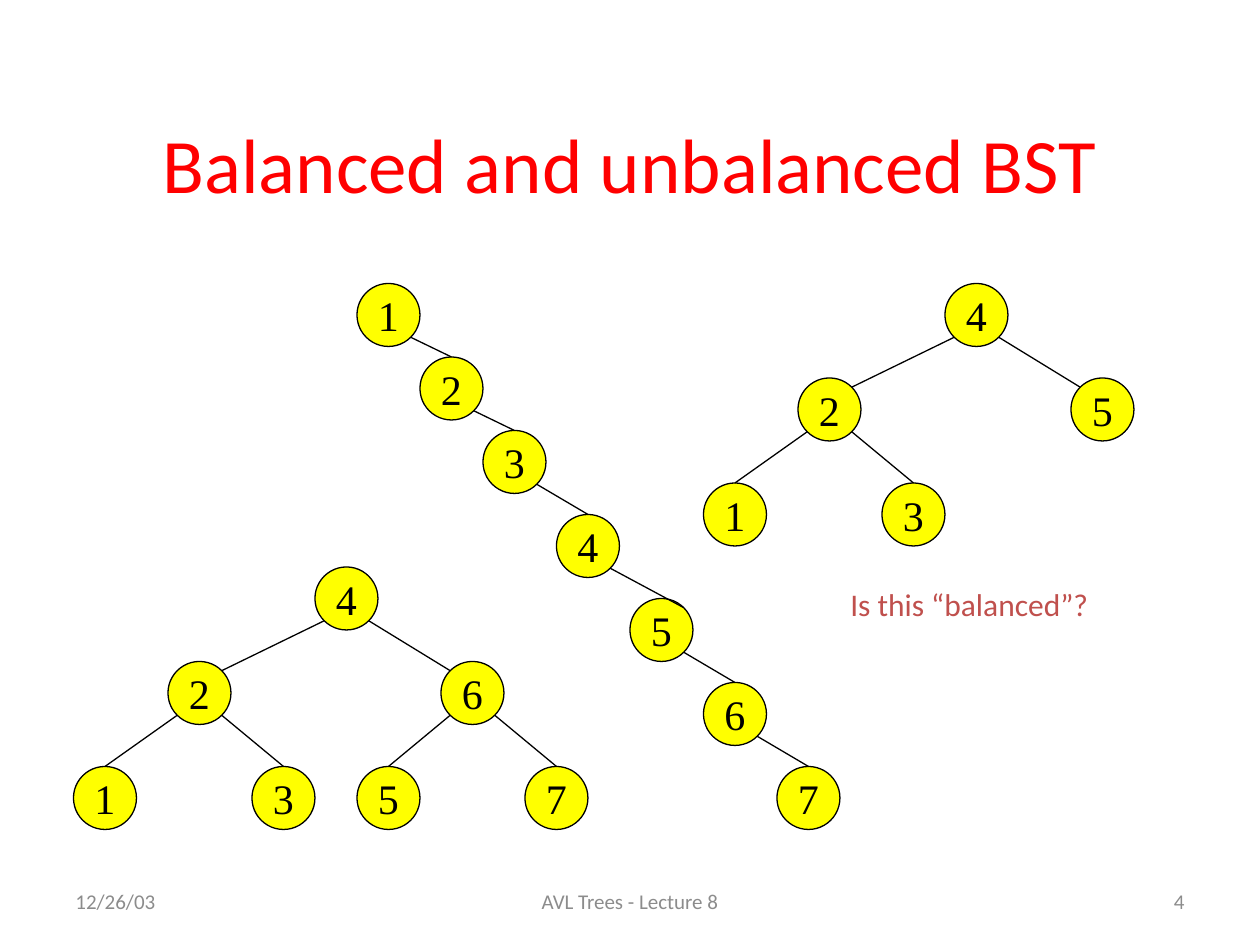
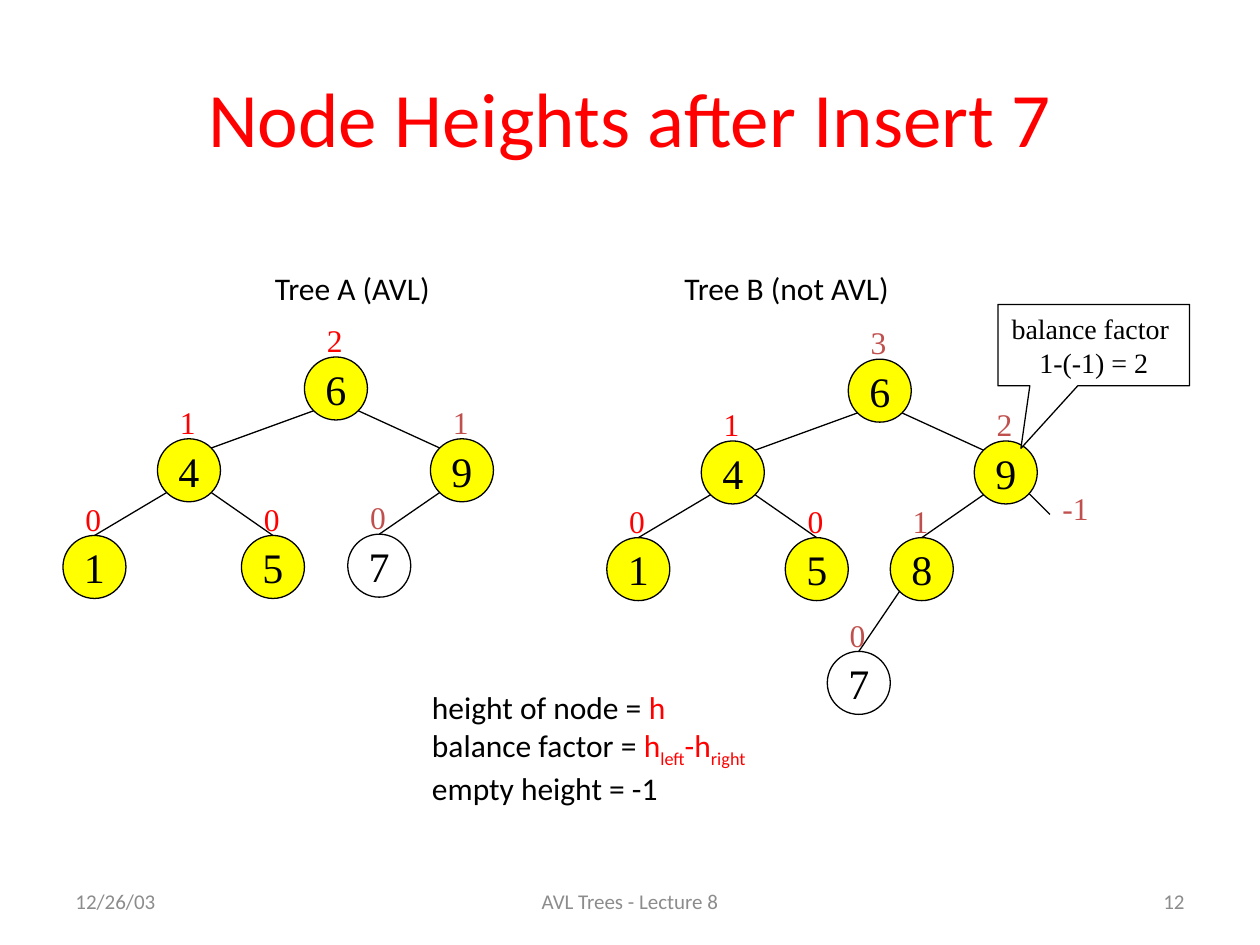
from math import sqrt
from lxml.etree import SubElement
from pptx import Presentation
from pptx.dml.color import RGBColor
from pptx.enum.shapes import MSO_CONNECTOR, MSO_SHAPE
from pptx.enum.text import MSO_ANCHOR, MSO_AUTO_SIZE, PP_ALIGN
from pptx.oxml.ns import qn
from pptx.util import Pt

COLORS = {
    "red": "FF0000",
    "brick": "C0504D",
    "yellow": "FFFF00",
    "white": "FFFFFF",
    "black": "000000",
    "grey": "8C8C8C",
}
SANS, SERIF = "Calibri", "Times New Roman"
NODE = 36
RADIUS = NODE / 2
CORNER = RADIUS / sqrt(2)
ENTRY = {"left": (-CORNER, -CORNER), "right": (CORNER, -CORNER), "top": (0, -RADIUS)}
LINE_WIDTH = 0.75
LABEL_H = 31


def rgb(name):
    return RGBColor.from_string(COLORS[name])


class Deck:
    def __init__(self):
        self.prs = Presentation()
        self.prs.slide_width, self.prs.slide_height = Pt(720), Pt(540)
        self.s = None

    def slide(self, title, title_box, number):
        self.s = self.prs.slides.add_slide(self.prs.slide_layouts[6])
        footers = [
            (36, 168, "12/26/03", PP_ALIGN.LEFT),
            (246, 228, "AVL Trees - Lecture 8", PP_ALIGN.CENTER),
            (516, 168, number, PP_ALIGN.RIGHT),
        ]
        for x, w, text, align in footers:
            self.text((x, 500.5, w, 28.75), [text], 12, color="grey", align=align,
                      anchor=MSO_ANCHOR.MIDDLE)
        self.text(title_box, [title], 44, color="red", align=PP_ALIGN.CENTER,
                  anchor=MSO_ANCHOR.MIDDLE)

    def fill_text(self, tf, lines, size, font, color, align):
        for i, line in enumerate(lines):
            p = tf.paragraphs[0] if i == 0 else tf.add_paragraph()
            p.alignment = align
            p.font.size, p.font.name = Pt(size), font
            if isinstance(line, str):
                p.add_run().text = line
                p.font.color.rgb = rgb(color)
                continue
            for text, run_color, baseline in line:
                r = p.add_run()
                r.text = text
                r.font.color.rgb = rgb(run_color)
                if baseline:
                    r.font._element.set("baseline", str(baseline * 1000))

    def text(self, box, lines, size=18, font=SANS, color="black",
             align=PP_ALIGN.LEFT, anchor=MSO_ANCHOR.TOP, wrap=True, grow=False):
        tf = self.s.shapes.add_textbox(*map(Pt, box)).text_frame
        tf.word_wrap = wrap
        tf.vertical_anchor = anchor
        if grow:
            tf.auto_size = MSO_AUTO_SIZE.SHAPE_TO_FIT_TEXT
        self.fill_text(tf, lines, size, font, color, align)

    def label(self, x, y, text, color, w=24.5, font=SERIF):
        self.text((x, y, w, LABEL_H), [text], font=font, color=color, wrap=False, grow=True)

    def shape(self, kind, box, lines, size, fill):
        sp = self.s.shapes.add_shape(kind, *map(Pt, box))
        sp.shadow.inherit = False
        if fill:
            sp.fill.solid()
            sp.fill.fore_color.rgb = rgb(fill)
        else:
            sp.fill.background()
        sp.line.color.rgb = rgb("black")
        sp.line.width = Pt(LINE_WIDTH)
        tf = sp.text_frame
        tf.word_wrap = False
        tf.vertical_anchor = MSO_ANCHOR.MIDDLE
        self.fill_text(tf, lines, size, SERIF, "black", PP_ALIGN.CENTER)
        return sp

    def line(self, x1, y1, x2, y2):
        cxn = self.s.shapes.add_connector(MSO_CONNECTOR.STRAIGHT, *map(Pt, (x1, y1, x2, y2)))
        cxn.line.color.rgb = rgb("black")
        cxn.line.width = Pt(LINE_WIDTH)
        SubElement(cxn._element.spPr, qn("a:effectLst"))

    def tree(self, nodes, edges, origin=(0, 0), heights=None, new=None):
        ox, oy = origin
        spots = {key: (x + ox, y + oy) for key, (x, y) in nodes.items()}
        for key, (x, y) in spots.items():
            self.shape(MSO_SHAPE.OVAL, (x, y, NODE, NODE), [key], 24,
                       None if key == new else "yellow")
        for parent, child, entry in edges:
            px, py = spots[parent]
            cx, cy = spots[child]
            dx, dy = ENTRY[entry]
            side = CORNER if cx > px else -CORNER
            self.line(px + RADIUS + side, py + RADIUS + CORNER,
                      cx + RADIUS + dx, cy + RADIUS + dy)
        for key, (height, color) in (heights or {}).items():
            x, y = spots[key]
            self.label(x + 5.75, y - 24, height, color)


def balanced_slide(deck):
    deck.slide("Balanced and unbalanced BST", (42, 48, 636, 90), "4")
    core = {"4": (138, 0), "2": (54, 54), "1": (0, 114), "3": (102, 114)}
    core_edges = [("4", "2", "right"), ("2", "1", "top"), ("2", "3", "top")]
    deck.tree({**core, "5": (210, 54)}, core_edges + [("4", "5", "left")], (402, 162))

    chain = {"1": (204, 162), "2": (240, 204), "3": (276, 246), "4": (318, 294),
             "5": (360, 342), "6": (402, 390), "7": (444, 438)}
    keys = list(chain)
    deck.tree(chain, [(a, b, "right" if b == "5" else "top") for a, b in zip(keys, keys[1:])])

    full = {**core, "6": (210, 54), "5": (162, 114), "7": (258, 114)}
    deck.tree(full, core_edges + [("4", "6", "left"), ("6", "5", "top"), ("6", "7", "top")],
              (42, 324))
    deck.label(478.8, 331, "Is this “balanced”?", "brick", 177.8, SANS)


def heights_slide(deck):
    deck.slide("Node Heights after Insert 7", (36, 21.6, 648, 90), "12")
    core = {"6": (138, 0), "4": (54, 46.75), "9": (210, 46.75), "1": (0, 102), "5": (102, 102)}
    core_edges = [("6", "4", "right"), ("6", "9", "left"), ("4", "1", "top"), ("4", "5", "top")]
    core_heights = {"4": ("1", "red"), "1": ("0", "red"), "5": ("0", "red"), "7": ("0", "brick")}

    deck.tree({**core, "7": (162.75, 101.25)}, core_edges + [("9", "7", "top")], (36, 204),
              {**core_heights, "6": ("2", "red"), "9": ("1", "brick")}, new="7")
    deck.tree({**core, "8": (162, 102), "7": (126, 167)},
              core_edges + [("9", "8", "top"), ("8", "7", "top")], (346.75, 205.25),
              {**core_heights, "6": ("3", "brick"), "9": ("2", "brick"), "8": ("1", "brick")},
              new="7")
    deck.line(588, 282, 600, 294)
    deck.label(600, 276, "-1", "brick", 31)

    for x, w, name in [(150, 132, "Tree A (AVL)"), (384, 180, "Tree B (not AVL)")]:
        deck.text((x, 150, w, LABEL_H), [name], grow=True)

    callout = deck.shape(MSO_SHAPE.RECTANGULAR_CALLOUT, (570.25, 174, 109.5, 46.5),
                         ["balance factor ", "1-(-1) = 2"], 16, "white")
    callout.adjustments[0], callout.adjustments[1] = -0.38, 1.27

    deck.text((239.75, 389.5, 234, 79), [
        [("height of node = ", "black", 0), ("h", "red", 0)],
        [("balance factor = ", "black", 0), ("h", "red", 0), ("left", "red", -25),
         ("-h", "red", 0), ("right", "red", -25)],
        "empty height = -1",
    ], wrap=False, grow=True)


def main():
    deck = Deck()
    balanced_slide(deck)
    heights_slide(deck)
    deck.prs.save("out.pptx")


if __name__ == "__main__":
    main()
